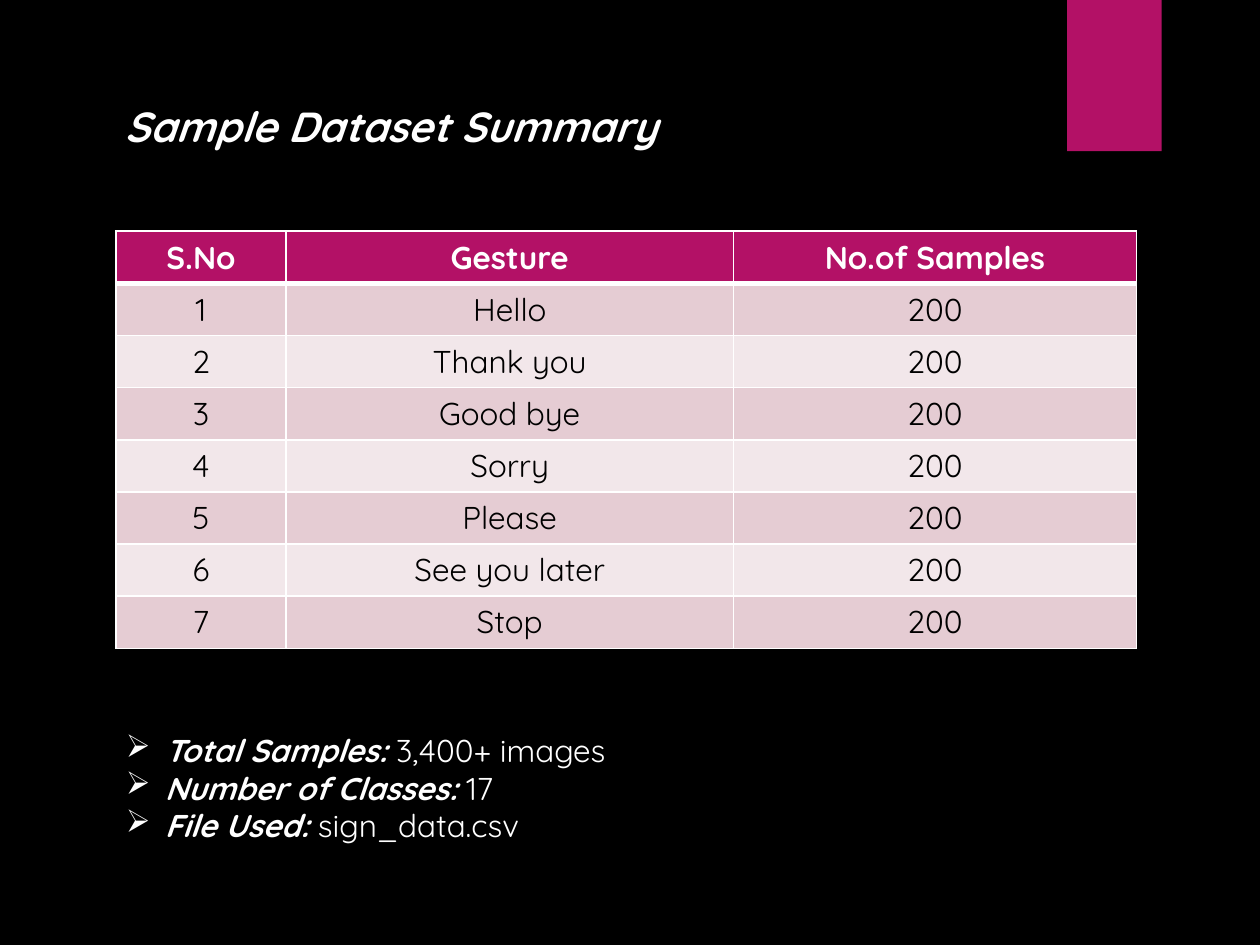
from lxml.etree import SubElement
from pptx import Presentation
from pptx.dml.color import RGBColor
from pptx.enum.shapes import MSO_SHAPE
from pptx.enum.text import PP_ALIGN
from pptx.oxml import parse_xml
from pptx.oxml.ns import nsdecls, qn
from pptx.util import Inches, Pt

COLORS = {
    "background": "000000",
    "accent": "B31166",
    "light": "FFFFFF",
    "dark": "000000",
    "odd_row": "E5CCD3",
    "even_row": "F2E7EA",
}
FONT = "Quicksand"
CELL = 0.1  # inches; the slide is a grid of 100 columns by 75 rows
COLUMNS, ROWS = 100, 75
BULLET_INDENT = 3.1

GESTURES = ["Hello", "Thank you", "Good bye", "Sorry", "Please", "See you later", "Stop"]
TABLE_ROWS = [("S.No", "Gesture", "No.of Samples")] + [
    (str(number), gesture, "200") for number, gesture in enumerate(GESTURES, 1)
]
FACTS = [
    ("Total Samples: ", "3,400+ images"),
    ("Number of Classes: ", "17"),
    ("File Used: ", "sign_data.csv"),
]


def grid(*units):
    return [Inches(unit * CELL) for unit in units]


def color(name):
    return RGBColor.from_string(COLORS[name])


class SlideBuilder:
    def __init__(self, presentation):
        self.slide = presentation.slides.add_slide(presentation.slide_layouts[6])
        background = self.slide.background.fill
        background.solid()
        background.fore_color.rgb = color("background")

    def add_run(self, paragraph, text, ink="light", **formats):
        run = paragraph.add_run()
        run.text = text
        values = {"name": FONT, "size": Pt(18), "bold": False, "italic": False, **formats}
        for attribute, value in values.items():
            setattr(run.font, attribute, value)
        run.font.color.rgb = color(ink)

    def rectangle(self, box, fill):
        shape = self.slide.shapes.add_shape(MSO_SHAPE.RECTANGLE, *grid(*box))
        shape.shadow.inherit = False
        shape.fill.solid()
        shape.fill.fore_color.rgb = color(fill)
        shape.line.fill.background()

    def text_frame(self, box):
        frame = self.slide.shapes.add_textbox(*grid(*box)).text_frame
        frame.word_wrap = True
        return frame

    def title(self, box, text):
        paragraph = self.text_frame(box).paragraphs[0]
        self.add_run(paragraph, text, size=Pt(24), bold=True, italic=True)

    def facts(self, box, facts):
        frame = self.text_frame(box)
        indent = grid(BULLET_INDENT)[0]
        for index, (label, value) in enumerate(facts):
            paragraph = frame.add_paragraph() if index else frame.paragraphs[0]
            properties = paragraph._p.get_or_add_pPr()
            properties.set("marL", str(indent))
            properties.set("indent", str(-indent))
            SubElement(properties, qn("a:buChar")).set("char", "➢")
            self.add_run(paragraph, label, bold=True, italic=True)
            self.add_run(paragraph, value)

    def borders(self, cell, widths):
        """Draw left, right, top and bottom lines, with widths in points."""
        properties = cell._tc.get_or_add_tcPr()
        for index, (side, width) in enumerate(zip("LRTB", widths)):
            properties.insert(index, parse_xml(
                f'<a:ln{side} {nsdecls("a")} w="{Pt(width)}"><a:solidFill>'
                f'<a:srgbClr val="{COLORS["light"]}"/></a:solidFill></a:ln{side}>'
            ))

    def table(self, left, top, widths, row_height, rows):
        box = grid(left, top, sum(widths), row_height * len(rows))
        table = self.slide.shapes.add_table(len(rows), len(widths), *box).table
        for column, width in zip(table.columns, grid(*widths)):
            column.width = width
        for row_index, values in enumerate(rows):
            header = row_index == 0
            fill = "accent" if header else ("even_row", "odd_row")[row_index % 2]
            line_widths = (1, 1, 3 if row_index == 1 else 1, 3 if header else 1)
            for column_index, text in enumerate(values):
                cell = table.cell(row_index, column_index)
                cell.fill.solid()
                cell.fill.fore_color.rgb = color(fill)
                self.borders(cell, line_widths)
                paragraph = cell.text_frame.paragraphs[0]
                paragraph.alignment = PP_ALIGN.CENTER
                self.add_run(paragraph, text, "light" if header else "dark", bold=header)


def main():
    presentation = Presentation()
    presentation.slide_width, presentation.slide_height = grid(COLUMNS, ROWS)
    builder = SlideBuilder(presentation)
    builder.rectangle((84.7, 0, 7.5, 12), "accent")
    builder.table(9.2, 18.35, (13.5, 35.5, 32), 4.13, TABLE_ROWS)
    builder.title((8.9, 7.5, 57.5, 5), "Sample Dataset Summary")
    builder.facts((9, 57.5, 87.5, 16.2), FACTS)
    presentation.save("out.pptx")


if __name__ == "__main__":
    main()
